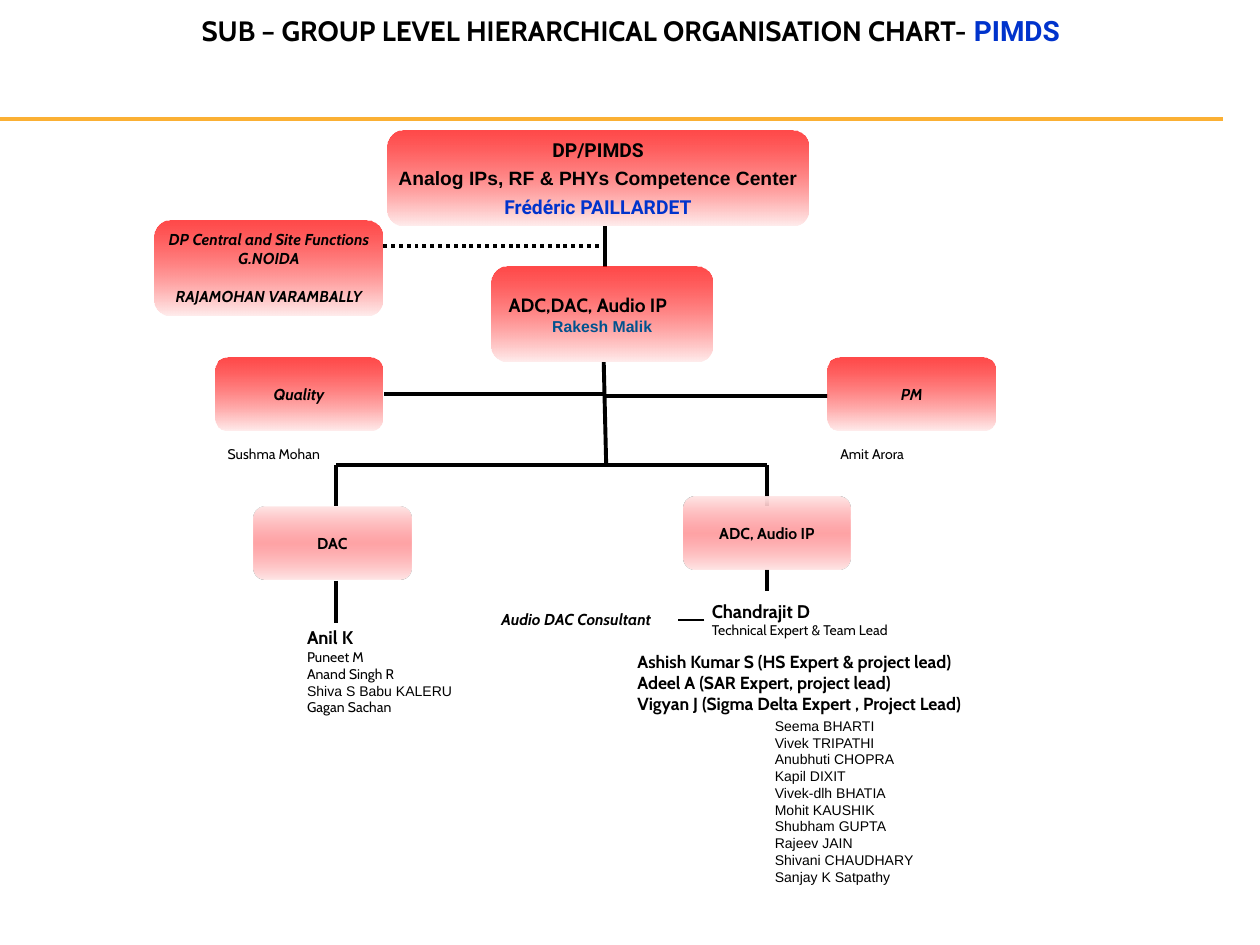
from dataclasses import dataclass, replace

from lxml import etree
from pptx import Presentation
from pptx import util as u
from pptx.dml.color import RGBColor
from pptx.enum import dml, shapes, text
from pptx.oxml.ns import qn

BLACK = RGBColor(0x00, 0x00, 0x00)
BLUE = RGBColor(0x00, 0x33, 0xCC)
TEAL = RGBColor(0x00, 0x52, 0x8E)
AMBER = RGBColor(0xFB, 0xB0, 0x34)
RED = RGBColor(0xFF, 0x00, 0x00)
BLUSH = RGBColor(0xFF, 0xEC, 0xEC)
PINK = RGBColor(0xFF, 0x7C, 0x80)
PALE = RGBColor(0xFF, 0xE7, 0xE7)

# Gradient stops: position %, colour, opacity %
RED_FADE = ((0, RED, 71), (100, BLUSH, 100))
PINK_BAND = ((0, PALE, 100), (50, PINK, 70), (100, PALE, 100))

CENTER, LEFT = text.PP_ALIGN.CENTER, text.PP_ALIGN.LEFT


@dataclass(frozen=True)
class Line:
    """One paragraph of text."""
    words: str
    size: float = 9
    font: str = "Cabin"
    color: RGBColor = BLACK
    bold: bool = True
    italic: bool = False
    before: float = 0
    indent: float = 0


@dataclass(frozen=True)
class Box:
    """A rounded organisation box; lengths in cm."""
    left: float
    top: float
    width: float
    height: float
    lines: tuple
    stops: tuple = RED_FADE
    align: text.PP_ALIGN = CENTER


@dataclass(frozen=True)
class Note:
    """A plain text block; lengths in cm."""
    left: float
    top: float
    width: float
    height: float
    lines: tuple
    inset: float = 0.13


@dataclass(frozen=True)
class Link:
    """A straight line; ends in cm, weight in points."""
    x1: float
    y1: float
    x2: float
    y2: float
    color: RGBColor = BLACK
    weight: float = 2.25
    dotted: bool = False


def role(words: str) -> Line:
    return Line(words, italic=True)


def member(words: str, font: str = "Cabin") -> Line:
    return Line(words, 8, font, bold=False)


def write_lines(frame, lines: tuple, align: text.PP_ALIGN) -> None:
    for number, line in enumerate(lines):
        para = frame.add_paragraph() if number else frame.paragraphs[0]
        para.text = line.words
        para.alignment = align
        if line.before:
            para.space_before = u.Pt(line.before)
        if line.indent:
            para._p.get_or_add_pPr().set("marL", str(u.Cm(line.indent)))
        font = para.font
        font.name, font.size = line.font, u.Pt(line.size)
        font.bold, font.italic = line.bold, line.italic
        font.color.rgb = line.color


def fill_gradient(shape, stops: tuple) -> None:
    shape.fill.gradient()
    shape.fill.gradient_angle = 270
    stop_list = shape._element.spPr.find(qn("a:gradFill")).find(qn("a:gsLst"))
    for old in list(stop_list):
        stop_list.remove(old)
    for position, color, opacity in stops:
        stop = etree.SubElement(stop_list, qn("a:gs"), pos=str(position * 1000))
        tint = etree.SubElement(stop, qn("a:srgbClr"), val=str(color))
        if opacity < 100:
            etree.SubElement(tint, qn("a:alpha"), val=str(opacity * 1000))


def draw_box(page, box: Box) -> None:
    shape = page.shapes.add_shape(
        shapes.MSO_SHAPE.ROUNDED_RECTANGLE,
        *map(u.Cm, (box.left, box.top, box.width, box.height)))
    shape.shadow.inherit = False
    shape.line.fill.background()
    fill_gradient(shape, box.stops)
    frame = shape.text_frame
    frame.vertical_anchor = text.MSO_ANCHOR.MIDDLE
    frame.word_wrap = box.align == LEFT
    write_lines(frame, box.lines, box.align)


def draw_note(page, note: Note) -> None:
    frame = page.shapes.add_textbox(
        *map(u.Cm, (note.left, note.top, note.width, note.height))).text_frame
    frame.word_wrap = True
    frame.margin_top = u.Cm(note.inset)
    write_lines(frame, note.lines, LEFT)


def draw_link(page, link: Link) -> None:
    connector = page.shapes.add_connector(
        shapes.MSO_CONNECTOR.STRAIGHT,
        *map(u.Cm, (link.x1, link.y1, link.x2, link.y2)))
    connector.line.color.rgb = link.color
    connector.line.width = u.Pt(link.weight)
    if link.dotted:
        connector.line.dash_style = dml.MSO_LINE.ROUND_DOT
    etree.SubElement(connector._element.spPr, qn("a:effectLst"))


deck = Presentation()
deck.slide_width, deck.slide_height = u.Cm(25.4), u.Cm(19.05)
page = deck.slides.add_slide(deck.slide_layouts[5])

# Title
title = page.shapes.title
title.left, title.top, title.width, title.height = map(u.Cm, (1.5, -0.2, 22.43, 1.7))
title.text_frame.auto_size = text.MSO_AUTO_SIZE.NONE
title.text_frame.vertical_anchor = text.MSO_ANCHOR.MIDDLE
heading = title.text_frame.paragraphs[0]
heading.alignment, heading.line_spacing = CENTER, 0.9
heading.font.size, heading.font.bold = u.Pt(16), True
for words, face, color in (
        ("SUB – GROUP LEVEL HIERARCHICAL ORGANISATION CHART-", "Cabin", BLACK),
        (" PIMDS", "Roboto", BLUE)):
    span = heading.add_run()
    span.text = words
    span.font.name, span.font.color.rgb = face, color

# Rule under the title and links between boxes
DAC_X, ADC_X, TRUNK_X, BUS_Y = 6.78, 15.47, 12.22, 9.37
for link in (
        Link(0, 2.39, 24.66, 2.39, AMBER),
        Link(12.07, 4.95, 7.72, 4.95, dotted=True),
        Link(12.19, 4.55, 12.19, 5.38),
        Link(12.17, 7.29, TRUNK_X, BUS_Y),
        Link(7.75, 7.95, TRUNK_X, 7.95),
        Link(TRUNK_X, 7.98, 16.69, 7.98),
        Link(DAC_X, BUS_Y, ADC_X, BUS_Y),
        Link(DAC_X, BUS_Y, DAC_X, 10.21),
        Link(ADC_X, BUS_Y, ADC_X, 10.21),
        Link(DAC_X, 11.71, DAC_X, 12.55),
        Link(ADC_X, 11.48, ADC_X, 11.91),
        Link(14.2, 12.5, 13.67, 12.5, weight=0.75)):
    draw_link(page, link)

# Organisation boxes
for box in (
        Box(7.82, 2.64, 8.48, 1.91, (
            Line("DP/PIMDS", 11, "Roboto"),
            Line("Analog IPs, RF & PHYs Competence Center", 11, "Arial", before=3),
            Line("Frédéric PAILLARDET", 11, "Roboto", BLUE, before=3))),
        Box(3.12, 4.45, 4.6, 1.91, (
            role("DP Central and Site Functions"), role("G.NOIDA"),
            replace(role("RAJAMOHAN VARAMBALLY"), before=10.8))),
        Box(9.91, 5.38, 4.45, 1.91, (
            Line("ADC,DAC, Audio IP", 11),
            Line("Rakesh Malik", 9, "Arial", TEAL, indent=0.88)), align=LEFT),
        Box(4.34, 7.21, 3.38, 1.47, (role("Quality"),)),
        Box(16.69, 7.21, 3.38, 1.47, (role("PM"),)),
        Box(5.11, 10.21, 3.18, 1.47, (Line("DAC"),), PINK_BAND),
        Box(13.77, 10.01, 3.38, 1.47, (Line("ADC, Audio IP"),), PINK_BAND)):
    draw_box(page, box)

# People
MEMBERS = ("Seema BHARTI", "Vivek TRIPATHI", "Anubhuti CHOPRA", "Kapil DIXIT",
           "Vivek-dlh BHATIA", "Mohit KAUSHIK", "Shubham GUPTA", "Rajeev JAIN",
           "Shivani CHAUDHARY", "Sanjay K Satpathy")
LEADS = ("Ashish Kumar S (HS Expert & project lead)",
         "Adeel A (SAR Expert, project lead)",
         "Vigyan J (Sigma Delta Expert , Project Lead)")
for note in (
        Note(4.34, 8.51, 2.44, 1.27, (member("Sushma Mohan"),), inset=0.47),
        Note(16.69, 8.51, 2.16, 1.27, (member("Amit Arora"),), inset=0.47),
        Note(5.94, 12.5, 3.63, 2.08, (
            Line("Anil K", 10.5), member("Puneet M"), member("Anand Singh R"),
            member("Shiva S Babu KALERU", "Arial"), member("Gagan Sachan"))),
        Note(9.86, 12.17, 3.81, 0.64, (role("Audio DAC Consultant"),)),
        Note(14.1, 11.96, 6.15, 1.04, (
            Line("Chandrajit D", 10.5), member("Technical Expert & Team Lead"))),
        Note(12.6, 13, 8.18, 1.55, tuple(Line(lead, 10) for lead in LEADS)),
        Note(15.37, 14.33, 3.45, 4.37,
             tuple(member(name, "Arial") for name in MEMBERS))):
    draw_note(page, note)

deck.save("out.pptx")
